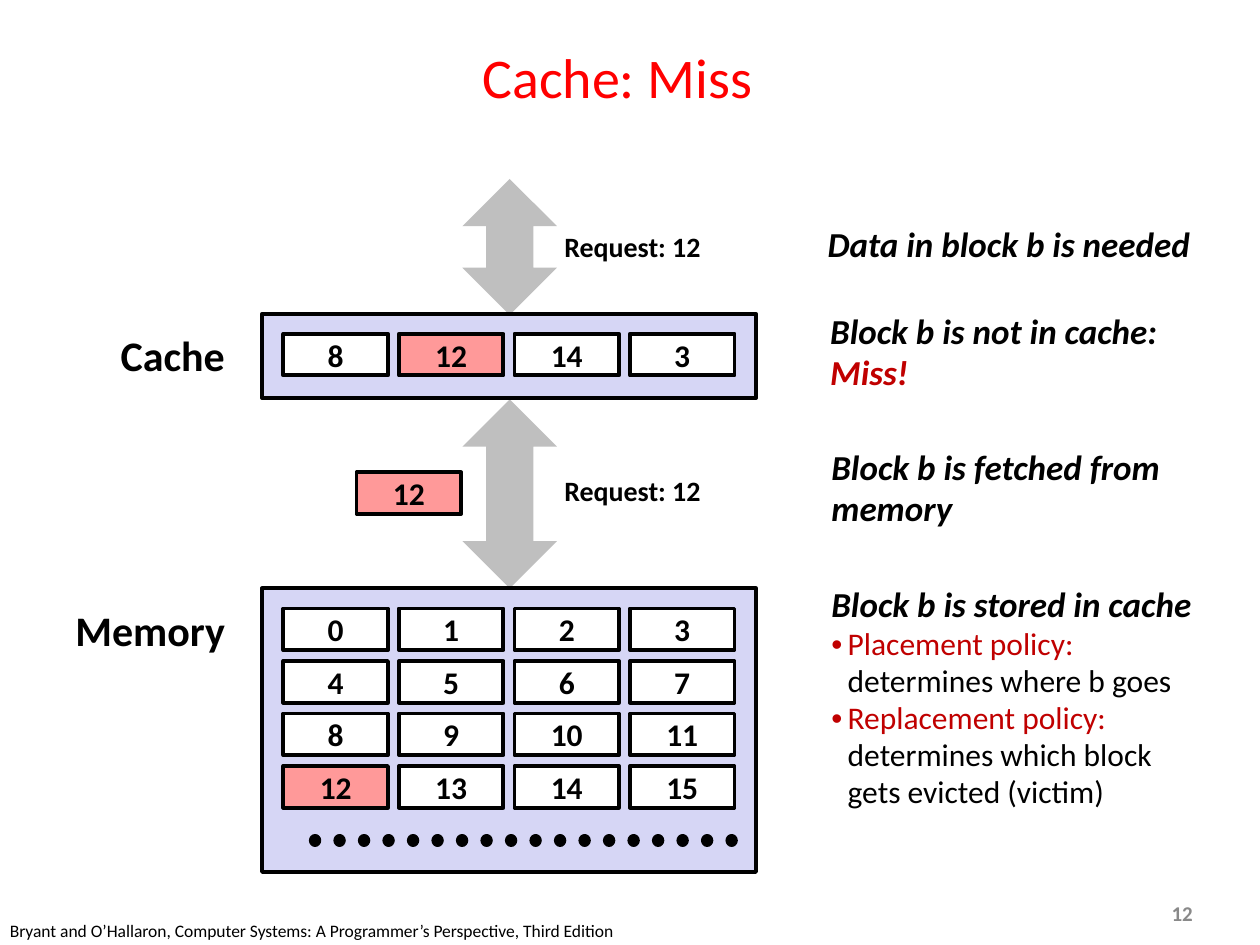
from dataclasses import dataclass

from lxml import etree
from pptx import Presentation
from pptx.dml.color import RGBColor
from pptx.enum.dml import MSO_LINE
from pptx.enum.shapes import MSO_CONNECTOR, MSO_SHAPE
from pptx.enum.text import MSO_ANCHOR, MSO_AUTO_SIZE, PP_ALIGN
from pptx.oxml.ns import qn
from pptx.util import Inches, Pt

RECT, ARROW = MSO_SHAPE.RECTANGLE, MSO_SHAPE.UP_DOWN_ARROW
LINE, DOTS = MSO_CONNECTOR.STRAIGHT, MSO_LINE.ROUND_DOT
TOP, MIDDLE = MSO_ANCHOR.TOP, MSO_ANCHOR.MIDDLE
LEFT, CENTER = PP_ALIGN.LEFT, PP_ALIGN.CENTER
GROW = MSO_AUTO_SIZE.SHAPE_TO_FIT_TEXT

BLACK = RGBColor(0, 0, 0)
WHITE = RGBColor(255, 255, 255)
RED = RGBColor(255, 0, 0)
DARK_RED = RGBColor(0xC0, 0, 0)
PINK = RGBColor(0xFF, 0x99, 0x99)
LILAC = RGBColor(0xD6, 0xD6, 0xF5)
SILVER = RGBColor(0xBF, 0xBF, 0xBF)
GREY = RGBColor(0x89, 0x89, 0x89)

FONT = "Calibri"
GRID_X, STEP_X = 2.25, 11 / 12
CACHE_Y, STORE_Y, STEP_Y = 2.65, 4.83, 5 / 12
WANTED = 12


@dataclass
class Box:
    x: float
    y: float
    w: float
    h: float


@dataclass
class Label:
    box: Box
    text: str
    size: float
    bold: bool = True
    color: RGBColor = BLACK
    align: PP_ALIGN = LEFT
    anchor: MSO_ANCHOR = TOP


@dataclass
class Para:
    """One note line: an optional red lead, then black text."""
    lead: str = ""
    text: str = ""
    bullet: bool = False


@dataclass
class Note:
    box: Box
    paras: list[Para]


LABELS = [
    Label(Box(0.86, 2.57, 1.04, 0.5), "Cache", 24),
    Label(Box(0.5, 4.75, 1.4, 0.5), "Memory", 24),
    Label(Box(4.37, 1.77, 1.3, 0.37), "Request: 12", 16, align=CENTER),
    Label(Box(4.37, 3.71, 1.3, 0.37), "Request: 12", 16, align=CENTER),
    Label(Box(-0.02, 7.25, 5.08, 0.27),
          "Bryant and O’Hallaron, Computer Systems: "
          "A Programmer’s Perspective, Third Edition", 10, False),
    Label(Box(9.2, 7.1, 0.4, 0.3), "12", 12, color=GREY, anchor=MIDDLE),
]

NOTES = [
    Note(Box(6.47, 1.73, 3.09, 0.43), [Para(text="Data in block b is needed")]),
    Note(Box(6.49, 2.42, 2.81, 0.76),
         [Para(text="Block b is not in cache:"), Para(lead="Miss!")]),
    Note(Box(6.5, 3.5, 2.83, 0.76),
         [Para(text="Block b is fetched from"), Para(text="memory")]),
    Note(Box(6.5, 4.58, 3.07, 1.92), [
        Para(text="Block b is stored in cache"),
        Para("Placement policy:", "\vdetermines where b goes", True),
        Para("Replacement policy:",
             "\vdetermines which block\vgets evicted (victim)", True),
    ]),
]


def place(box: Box) -> list[int]:
    return [Inches(v) for v in (box.x, box.y, box.w, box.h)]


def style(font, size: float, color: RGBColor, bold=False, italic=False) -> None:
    font.name, font.size = FONT, Pt(size)
    font.bold, font.italic = bold, italic
    font.color.rgb = color


def add_form(slide, kind: MSO_SHAPE, box: Box, fill: RGBColor, edge=True):
    form = slide.shapes.add_shape(kind, *place(box))
    form.shadow.inherit = False
    form.fill.solid()
    form.fill.fore_color.rgb = fill
    if edge:
        form.line.color.rgb = BLACK
        form.line.width = Pt(2.25)
    else:
        form.line.fill.background()
    return form


def add_block(slide, x: float, y: float, num: int) -> None:
    fill = PINK if num == WANTED else WHITE
    block = add_form(slide, RECT, Box(x, y, 0.83, 0.33), fill)
    frame = block.text_frame
    frame.text = str(num)
    frame.vertical_anchor = MIDDLE
    para = frame.paragraphs[0]
    para.alignment = CENTER
    style(para.runs[0].font, 18, BLACK, True)


def add_frame(slide, box: Box, anchor: MSO_ANCHOR):
    frame = slide.shapes.add_textbox(*place(box)).text_frame
    frame.word_wrap = False
    frame.auto_size = GROW
    frame.vertical_anchor = anchor
    return frame


def add_label(slide, label: Label) -> None:
    frame = add_frame(slide, label.box, label.anchor)
    frame.text = label.text
    para = frame.paragraphs[0]
    para.alignment = label.align
    style(para.runs[0].font, label.size, label.color, label.bold)


def set_bullet(para) -> None:
    props = para._p.get_or_add_pPr()
    props.set("marL", str(Inches(0.13)))
    props.set("indent", str(-Inches(0.13)))
    etree.SubElement(props, qn("a:buFont")).set("typeface", "Arial")
    etree.SubElement(props, qn("a:buChar")).set("char", "•")


def add_note(slide, note: Note) -> None:
    frame = add_frame(slide, note.box, MIDDLE)
    for i, item in enumerate(note.paras):
        para = frame.add_paragraph() if i else frame.paragraphs[0]
        para.line_spacing = 0.98
        if item.bullet:
            set_bullet(para)
        size, strong = (18, False) if item.bullet else (20, True)
        for text, color in ((item.lead, DARK_RED), (item.text, BLACK)):
            for j, part in enumerate(text.split("\v")):
                if j:
                    para.add_line_break()
                if part:
                    run = para.add_run()
                    run.text = part
                    style(run.font, size, color, strong, strong)


def add_dots(slide) -> None:
    y = Inches(6.67)
    dots = slide.shapes.add_connector(LINE, Inches(2.5), y, Inches(5.83), y)
    dots.line.color.rgb = BLACK
    dots.line.width = Pt(7)
    dots.line.dash_style = DOTS
    props = dots._element.spPr
    props.find(qn("a:ln")).set("cap", "rnd")
    etree.SubElement(props, qn("a:effectLst"))


def main() -> None:
    deck = Presentation()
    deck.slide_width, deck.slide_height = Inches(10), Inches(7.5)
    slide = deck.slides.add_slide(deck.slide_layouts[5])

    title = slide.shapes.title
    title.left, title.top, title.width, title.height = place(
        Box(0.39, 0.21, 9.02, 0.79))
    title.text_frame.text = "Cache: Miss"
    title.text_frame.vertical_anchor = MIDDLE
    para = title.text_frame.paragraphs[0]
    para.alignment = CENTER
    style(para.runs[0].font, 32, RED)

    for y, h in ((1.42, 1.08), (3.17, 1.5)):
        add_form(slide, ARROW, Box(3.67, y, 0.75, h), SILVER, edge=False)
    for y, h in ((4.67, 2.25), (2.49, 0.67)):
        add_form(slide, RECT, Box(2.08, y, 3.92, h), LILAC)

    for num in range(16):
        row, col = divmod(num, 4)
        add_block(slide, GRID_X + col * STEP_X, STORE_Y + row * STEP_Y, num)
    for col, num in enumerate((8, WANTED, 14, 3)):
        add_block(slide, GRID_X + col * STEP_X, CACHE_Y, num)
    add_block(slide, 2.83, 3.75, WANTED)
    add_dots(slide)

    for label in LABELS:
        add_label(slide, label)
    for note in NOTES:
        add_note(slide, note)
    deck.save("out.pptx")


if __name__ == "__main__":
    main()
